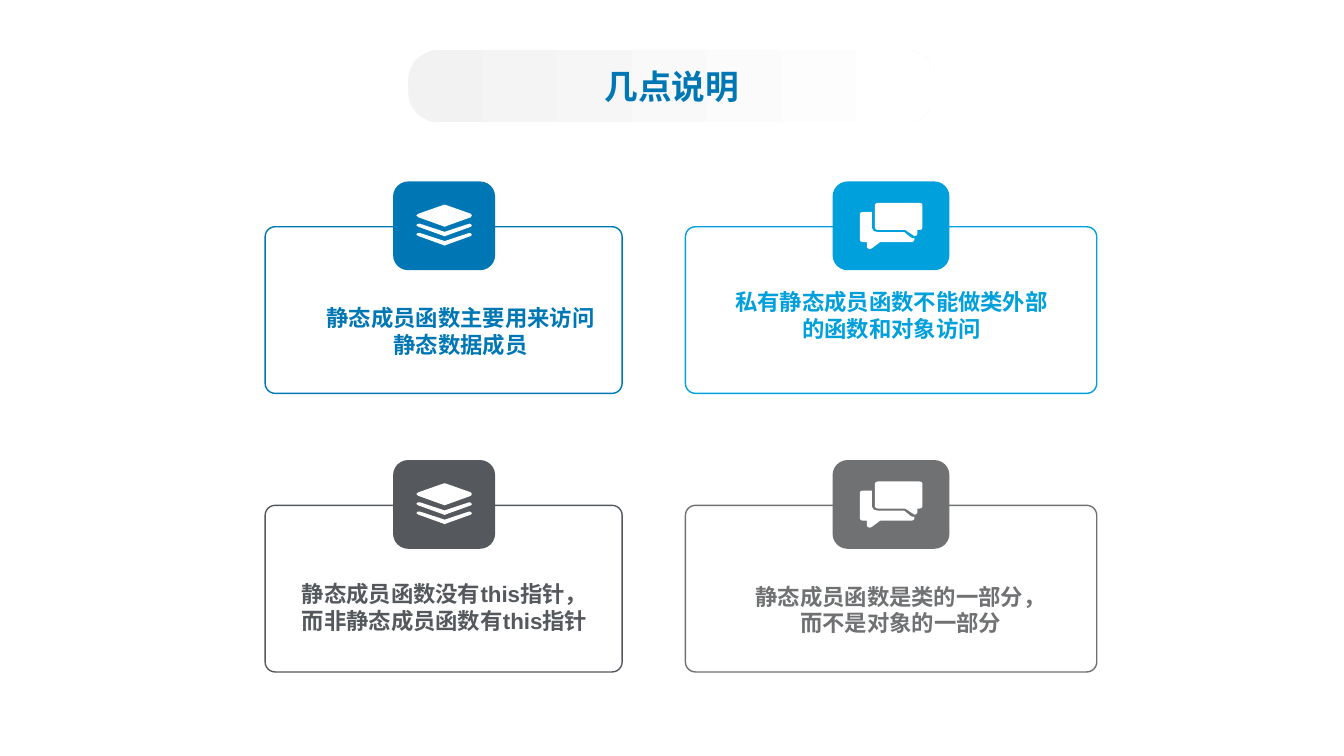
"""Build a slide with four icon cards explaining static member functions."""
from dataclasses import dataclass

from lxml import etree
from pptx import Presentation
from pptx import util as u
from pptx.dml.color import RGBColor
from pptx.enum import dml, shapes, text
from pptx.oxml import ns

Pt = u.Pt
Contour = list[tuple[float, float]]

BLUE = RGBColor(0x00, 0x77, 0xB5)
SKY = RGBColor(0x00, 0xA0, 0xDC)
SLATE = RGBColor(0x55, 0x59, 0x5D)
GREY = RGBColor(0x6F, 0x71, 0x73)
PALE = RGBColor(0xF2, 0xF2, 0xF2)
WHITE = RGBColor(0xFF, 0xFF, 0xFF)

LATIN = "Arial"
CJK = "Noto Sans CJK SC"
FRAME_TOP, FRAME_HEIGHT = 162, 119
TILE_TOP, TILE_HEIGHT = 129.6, 63.4
ROW_PITCH = 199

SHEET: Contour = [
    (19.1, 0.3), (20.2, 0), (21.3, 0.3), (38.9, 6.5), (39.6, 7.7), (38.9, 9),
    (20.9, 15.5), (20.2, 15.8), (19.4, 15.5), (1.4, 9), (0, 7.7), (1.4, 6.5),
]
CHEVRON: Contour = [
    (1.4, 15.8), (0, 14.8), (0.7, 13.8), (2.4, 13.6), (20.2, 19.4),
    (37.8, 13.6), (39, 13.9), (39.6, 15), (38.9, 15.8), (20.9, 22.3),
    (20.2, 22.7), (19.4, 22.3),
]
STACK = [SHEET, CHEVRON, [(x, y + 6.6) for x, y in CHEVRON]]
CHAT: list[Contour] = [
    [
        (42.5, 19.4), (41, 19.4), (41, 22.3), (40.3, 23.4), (38.9, 23.8),
        (38.2, 23.2), (32.4, 19.4), (13, 19.4), (11.5, 19), (10.8, 18),
        (10.8, 1.4), (11.5, 0.4), (13, 0), (42.5, 0), (44.1, 0.4),
        (44.6, 1.4), (44.6, 18), (44.1, 19),
    ],
    [
        (31.7, 20.9), (36, 24.5), (37.2, 25.1), (38.9, 25.3), (38.9, 26.6),
        (38.3, 27.6), (36.7, 28.1), (14.4, 28.1), (8.6, 32.4), (7.2, 33.1),
        (5.8, 32.6), (5, 31.7), (5, 28.1), (2.2, 28.1), (0.6, 27.6),
        (0, 26.6), (0, 7.9), (0.6, 6.9), (2.2, 6.5), (8.6, 6.5), (8.6, 18),
        (9.9, 20.2), (13, 20.9),
    ],
]


@dataclass(frozen=True)
class Column:
    frame_left: float
    frame_width: float
    tile_left: float
    tile_width: float
    icon_left: float
    icon_top: float
    icon: list[Contour]


@dataclass(frozen=True)
class Card:
    column: Column
    row: int
    color: RGBColor
    text_box: tuple[float, float, float, float]
    lines: tuple[str, str]


LEFT = Column(189.4, 255, 280.8, 72.9, 297.4, 146.2, STACK)
RIGHT = Column(489.6, 293.8, 594.7, 83.5, 614.2, 144.9, CHAT)

CARDS = [
    Card(LEFT, 0, BLUE, (213.1, 217.4, 231.8, 53.3),
         ("静态成员函数主要用来访问", "静态数据成员")),
    Card(RIGHT, 0, SKY, (503.3, 205.9, 267.1, 63.4),
         ("私有静态成员函数不能做类外部", "的函数和对象访问")),
    Card(LEFT, 1, SLATE, (201.6, 414.7, 231.8, 50.4),
         ("静态成员函数没有this指针，", "而非静态成员函数有this指针")),
    Card(RIGHT, 1, GREY, (503.3, 416.2, 280.1, 63.4),
         ("静态成员函数是类的一部分，", "而不是对象的一部分")),
]


def style_paragraph(p, size: float, latin: str, color: RGBColor) -> None:
    p.alignment = text.PP_ALIGN.CENTER
    f = p.font
    f.size, f.bold, f.name = Pt(size), True, latin
    f.color.rgb = color
    etree.SubElement(f._element, ns.qn("a:ea"), typeface=CJK)


def add_round_rect(parent, left: float, top: float, width: float,
                   height: float, corner: float):
    s = parent.add_shape(shapes.MSO_SHAPE.ROUNDED_RECTANGLE, Pt(left), Pt(top),
                         Pt(width), Pt(height))
    s.adjustments[0] = corner
    s.shadow.inherit = False
    return s


def add_icon(parent, left: float, top: float, contours: list[Contour]) -> None:
    outlines = [[(Pt(left + x), Pt(top + y)) for x, y in c] for c in contours]
    builder = parent.build_freeform(*outlines[0][0])
    for outline in outlines:
        builder.move_to(*outline[0])
        builder.add_line_segments(outline[1:], close=True)
    s = builder.convert_to_shape()
    s.shadow.inherit = False
    s.fill.solid()
    s.fill.fore_color.rgb = WHITE
    s.line.fill.background()


def add_card(slide, card: Card) -> None:
    col, shift = card.column, card.row * ROW_PITCH
    parent = slide.shapes.add_group_shape().shapes
    frame = add_round_rect(parent, col.frame_left, FRAME_TOP + shift,
                           col.frame_width, FRAME_HEIGHT, 0.06)
    frame.fill.background()
    frame.line.color.rgb = card.color
    frame.line.width = Pt(1)
    tile = add_round_rect(parent, col.tile_left, TILE_TOP + shift,
                          col.tile_width, TILE_HEIGHT, 0.17)
    tile.fill.solid()
    tile.fill.fore_color.rgb = card.color
    tile.line.fill.background()
    add_icon(parent, col.icon_left, col.icon_top + shift, col.icon)

    tf = parent.add_textbox(*map(Pt, card.text_box)).text_frame
    tf.word_wrap = False
    tf.margin_left = tf.margin_top = tf.margin_right = tf.margin_bottom = 0
    tf.text = "\n".join(card.lines)
    for p in tf.paragraphs:
        style_paragraph(p, 16, LATIN, card.color)


def add_title(slide) -> None:
    s = add_round_rect(slide.shapes, 291.6, 35.6, 376.6, 51.8, 0.42)
    s.fill.gradient()
    s.fill.gradient_angle = 0
    for stop, color, position in zip(s.fill.gradient_stops, (PALE, WHITE), (0, 0.99)):
        stop.color.rgb = color
        stop.position = position
    s.line.fill.background()
    tf = s.text_frame
    tf.vertical_anchor = text.MSO_ANCHOR.MIDDLE
    tf.text = "几点说明"
    style_paragraph(tf.paragraphs[0], 24, CJK, BLUE)


def main() -> None:
    prs = Presentation()
    prs.slide_width, prs.slide_height = Pt(960), Pt(540)
    slide = prs.slides.add_slide(prs.slide_layouts[6])
    for card in CARDS:
        add_card(slide, card)
    add_title(slide)
    prs.save("out.pptx")


if __name__ == "__main__":
    main()
